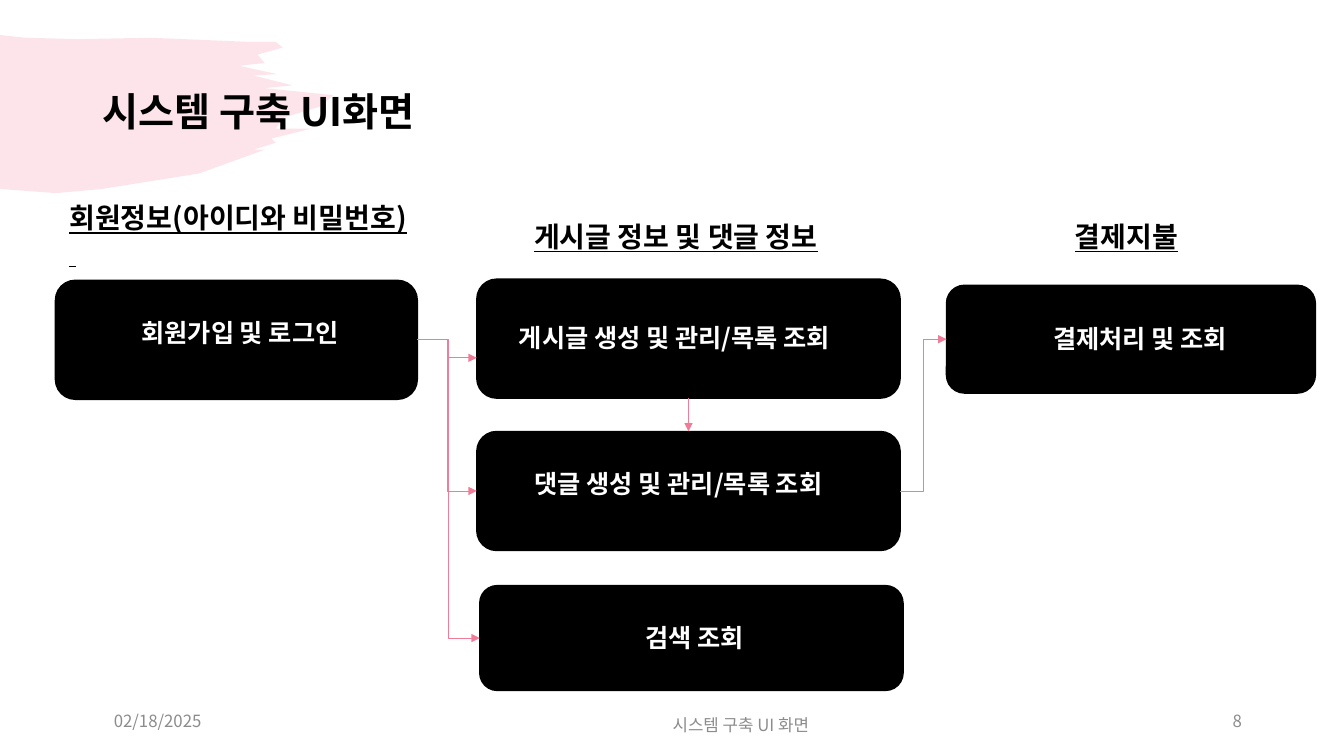
from lxml import etree
from pptx import Presentation
from pptx.dml.color import RGBColor
from pptx.enum.shapes import MSO_CONNECTOR, MSO_SHAPE
from pptx.enum.text import MSO_ANCHOR, PP_ALIGN
from pptx.oxml.ns import qn
from pptx.util import Pt

LEFT, CENTER, RIGHT = PP_ALIGN.LEFT, PP_ALIGN.CENTER, PP_ALIGN.RIGHT
MIDDLE = MSO_ANCHOR.MIDDLE
ROUNDED = MSO_SHAPE.ROUNDED_RECTANGLE
STRAIGHT, ELBOW = MSO_CONNECTOR.STRAIGHT, MSO_CONNECTOR.ELBOW
TOP_SIDE, LEFT_SIDE, BOTTOM_SIDE, RIGHT_SIDE = range(4)
FONT = "Noto Sans CJK KR"
COLORS = {"black": "000000", "white": "FFFFFF", "pink": "F07C98", "gray": "8C8C8C"}
TEXT_STYLES = {
    "title": ("black", {"size": Pt(28), "bold": True}),
    "heading": ("black", {"size": Pt(20), "bold": True, "underline": True}),
    "step": ("white", {"size": Pt(18), "bold": True}),
    "footer": ("gray", {"size": Pt(12)}),
}

# Corners of the brush stroke, in points
BRUSH = [
    (0, 25), (18, 27), (56, 28), (108, 27), (179, 30), (197, 30), (202, 34),
    (184, 39), (189, 45), (171, 47), (198, 53), (181, 54), (209, 61), (189, 63),
    (238, 68), (229, 76), (203, 84), (197, 92), (222, 92), (194, 99), (197, 102),
    (181, 107), (189, 107), (142, 124), (73, 135), (40, 138), (0, 135),
]


class SlideBuilder:
    def __init__(self, slide, font, colors):
        self.slide = slide
        self.font = font
        self.colors = colors

    def color(self, name):
        return RGBColor.from_string(self.colors[name])

    def brush(self, points, color, opacity):
        corners = [(Pt(x), Pt(y)) for x, y in points]
        outline = self.slide.shapes.build_freeform(*corners[0])
        outline.add_line_segments(corners[1:], close=True)
        shape = outline.convert_to_shape()
        shape.shadow.inherit = False
        shape.fill.solid()
        shape.fill.fore_color.rgb = self.color(color)
        shape.line.fill.background()
        fill_color = shape._element.spPr.find(qn("a:solidFill"))[0]
        etree.SubElement(fill_color, qn("a:alpha"), val=str(opacity * 1000))

    def box(self, left, top, width, height):
        shape = self.slide.shapes.add_shape(
            ROUNDED, Pt(left), Pt(top), Pt(width), Pt(height))
        shape.shadow.inherit = False
        shape.fill.solid()
        shape.fill.fore_color.rgb = self.color("black")
        shape.line.color.rgb = self.color("black")
        shape.line.width = Pt(1)
        return shape

    def text(self, text, left, top, width, height, style, align=LEFT, spacing=1.0):
        shape = self.slide.shapes.add_textbox(Pt(left), Pt(top), Pt(width), Pt(height))
        frame = shape.text_frame
        frame.word_wrap = True
        frame.vertical_anchor = MIDDLE
        paragraph = frame.paragraphs[0]
        paragraph.text = text
        paragraph.alignment = align
        paragraph.line_spacing = spacing
        color, values = TEXT_STYLES[style]
        for run in paragraph.runs:
            run.font.name = self.font
            run.font.color.rgb = self.color(color)
            for name, value in values.items():
                setattr(run.font, name, value)
            etree.SubElement(run._r.get_or_add_rPr(), qn("a:ea"), typeface=self.font)

    def arrow(self, kind, start, end, source=None, target=None):
        connector = self.slide.shapes.add_connector(
            kind, *(Pt(value) for value in (*start, *end)))
        if source:
            connector.begin_connect(*source)
        if target:
            connector.end_connect(*target)
        connector.line.color.rgb = self.color("pink")
        connector.line.width = Pt(0.5)
        properties = connector._element.spPr
        etree.SubElement(properties.find(qn("a:ln")), qn("a:tailEnd"), type="triangle")
        etree.SubElement(properties, qn("a:effectLst"))


def main():
    presentation = Presentation()
    presentation.slide_width, presentation.slide_height = Pt(960), Pt(540)
    slide = presentation.slides.add_slide(presentation.slide_layouts[6])
    builder = SlideBuilder(slide, FONT, COLORS)

    # Title on the brush stroke
    builder.brush(BRUSH, "pink", 20)
    builder.text("시스템 구축 UI화면", 66.2, 28.8, 828, 104.4, "title", spacing=0.9)

    # Column headings
    for heading, left, top, width, align in [
        ("회원정보(아이디와 비밀번호)\v ", 42.5, 147.6, 272.2, LEFT),
        ("게시글 정보 및 댓글 정보", 340.6, 149, 284.4, CENTER),
        ("결제지불", 715, 149, 179.3, CENTER),
    ]:
        builder.text(heading, left, top, width, 39.6, "heading", align)

    # Process boxes
    member = builder.box(39.6, 200.2, 258.5, 85)
    post = builder.box(340.6, 199.4, 302.4, 85)
    comment = builder.box(340.6, 308.2, 302.4, 85)
    search = builder.box(342.7, 418.3, 302.4, 74.9)
    payment = builder.box(676.1, 203.8, 263.5, 77)

    # Box labels
    for label, left, top, width, align in [
        ("회원가입 및 로그인", 52.6, 200.2, 237.6, CENTER),
        ("게시글 생성 및 관리/목록 조회", 363.6, 203.8, 266.4, LEFT),
        ("댓글 생성 및 관리/목록 조회", 374.8, 308.2, 258.5, LEFT),
        ("검색 조회", 403.9, 417.6, 185, CENTER),
        ("결제처리 및 조회", 745.2, 204.5, 179.3, LEFT),
    ]:
        builder.text(label, left, top, width, 74.9, "step", align)

    # Arrows between the boxes
    member_exit = (298.1, 242.7)
    from_member = (member, RIGHT_SIDE)
    builder.arrow(ELBOW, member_exit, (340.6, 255.6), from_member)
    for target, end in [(comment, (340.6, 350.7)), (search, (342.7, 455.75))]:
        builder.arrow(ELBOW, member_exit, end, from_member, (target, LEFT_SIDE))
    builder.arrow(ELBOW, (643, 350.7), (676.1, 242.3),
                  (comment, RIGHT_SIDE), (payment, LEFT_SIDE))
    builder.arrow(STRAIGHT, (491.8, 284.4), (491.8, 308.2),
                  (post, BOTTOM_SIDE), (comment, TOP_SIDE))

    # Footer
    builder.text("02/18/2025", 74.2, 500.4, 216, 28.8, "footer")
    builder.text("시스템 구축 UI 화면", 367.2, 503.3, 324, 28.8, "footer", CENTER)
    builder.text("8", 678.2, 500.4, 216, 28.8, "footer", RIGHT)

    presentation.save("out.pptx")


if __name__ == "__main__":
    main()
